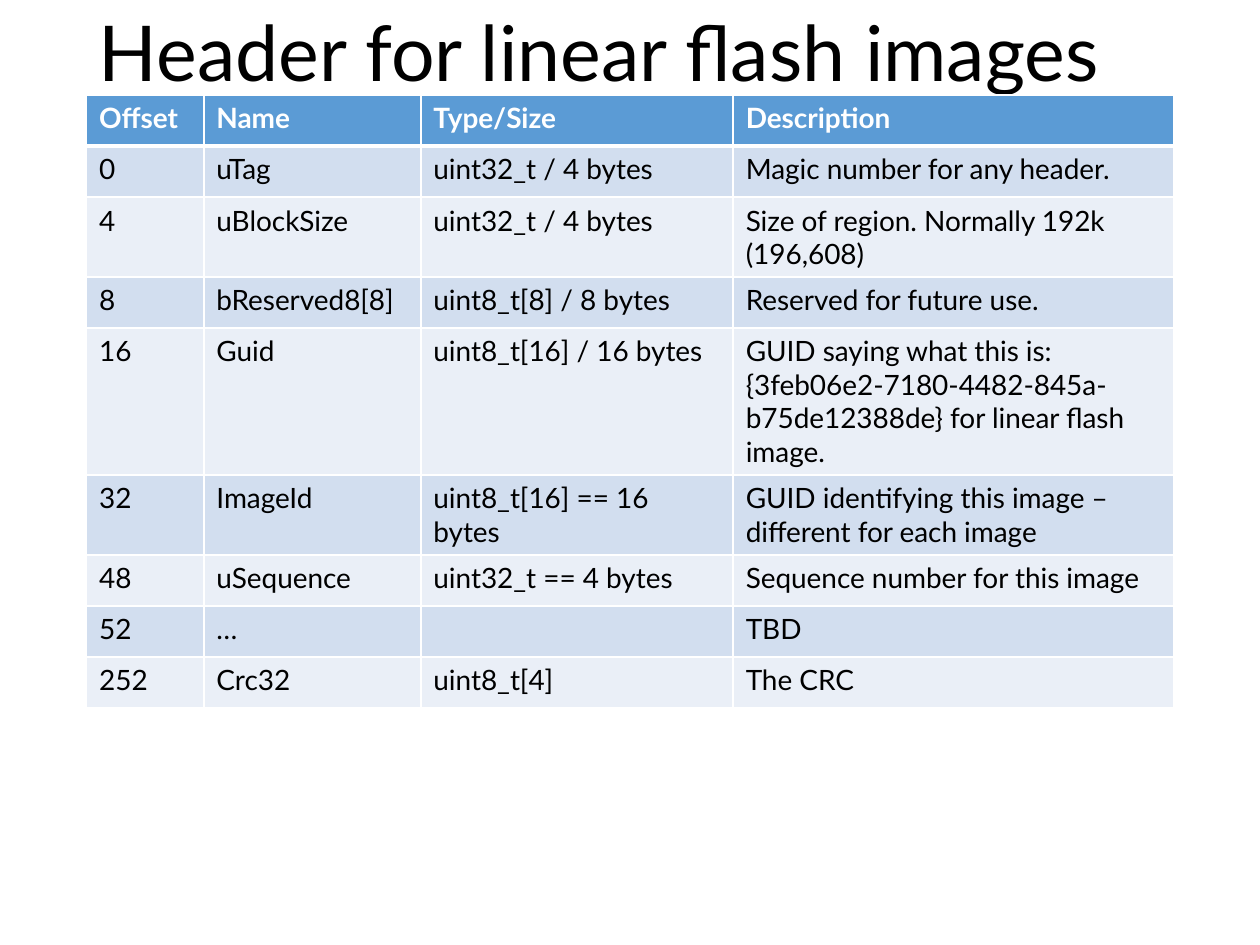
"""Build a slide with a table of the linear flash image header."""
from lxml.etree import SubElement
from pptx import Presentation
from pptx.dml.color import RGBColor as RGB
from pptx.enum.text import MSO_ANCHOR as Anchor
from pptx.oxml.ns import qn
from pptx.util import Pt

FONT = "Lato"
COLORS = {
    "text": "000000",
    "white": "FFFFFF",
    "header": "5B9BD5",
    "odd": "D2DEEF",
    "even": "EAEFF7",
}
LEFT, WIDTH = 49.5, 621
COLUMNS = [67, 124, 178.5, 251.5]
ROW_HEIGHT = 29.2
FIELDS = [
    ("Offset", "Name", "Type/Size", "Description"),
    ("0", "uTag", "uint32_t / 4 bytes", "Magic number for any header."),
    ("4", "uBlockSize", "uint32_t / 4 bytes",
     "Size of region. Normally 192k (196,608)"),
    ("8", "bReserved8[8]", "uint8_t[8] / 8 bytes", "Reserved for future use."),
    ("16", "Guid", "uint8_t[16] / 16 bytes",
     "GUID saying what this is: {3feb06e2-7180-4482-845a-b75de12388de} "
     "for linear flash image."),
    ("32", "ImageId", "uint8_t[16] == 16 bytes",
     "GUID identifying this image – different for each image"),
    ("48", "uSequence", "uint32_t == 4 bytes", "Sequence number for this image"),
    ("52", "…", "", "TBD"),
    ("252", "Crc32", "uint8_t[4]", "The CRC"),
]


def color(name):
    return RGB.from_string(COLORS[name])


def write(tf, text, size, name, bold=False):
    tf.text = text
    for p in tf.paragraphs:
        for r in p.runs:
            r.font.name = FONT
            r.font.size = Pt(size)
            r.font.bold = bold
            r.font.color.rgb = color(name)


def add_title(s, text):
    sp = s.shapes.add_textbox(Pt(LEFT), Pt(0), Pt(WIDTH), Pt(65))
    tf = sp.text_frame
    tf.word_wrap = True
    tf.vertical_anchor = Anchor.MIDDLE
    write(tf, text, 44, "text")
    tf.paragraphs[0].line_spacing = 0.9


def set_borders(cell, widths):
    props = cell._tc.get_or_add_tcPr()
    for i, (side, width) in enumerate(widths.items()):
        ln = SubElement(props, qn("a:" + side), w=str(Pt(width)))
        fill = SubElement(ln, qn("a:solidFill"))
        SubElement(fill, qn("a:srgbClr"), val=COLORS["white"])
        props.remove(ln)
        props.insert(i, ln)


def add_field_table(s, rows):
    frame = s.shapes.add_table(len(rows), len(COLUMNS), Pt(LEFT), Pt(54.3),
                               Pt(WIDTH), Pt(ROW_HEIGHT * len(rows)))
    table = frame.table
    for column, width in zip(table.columns, COLUMNS):
        column.width = Pt(width)
    for i, row in enumerate(rows):
        table.rows[i].height = Pt(ROW_HEIGHT)
        header = i == 0
        fill = "header" if header else "odd" if i % 2 else "even"
        borders = {"lnL": 1, "lnR": 1, "lnT": 3 if i == 1 else 1,
                   "lnB": 3 if header else 1}
        for j, text in enumerate(row):
            cell = table.cell(i, j)
            write(cell.text_frame, text, 16, "white" if header else "text", header)
            cell.fill.solid()
            cell.fill.fore_color.rgb = color(fill)
            set_borders(cell, borders)


def main():
    prs = Presentation()
    prs.slide_width, prs.slide_height = Pt(720), Pt(540)
    s = prs.slides.add_slide(prs.slide_layouts[6])
    add_title(s, "Header for linear flash images")
    add_field_table(s, FIELDS)
    prs.save("out.pptx")


main()
